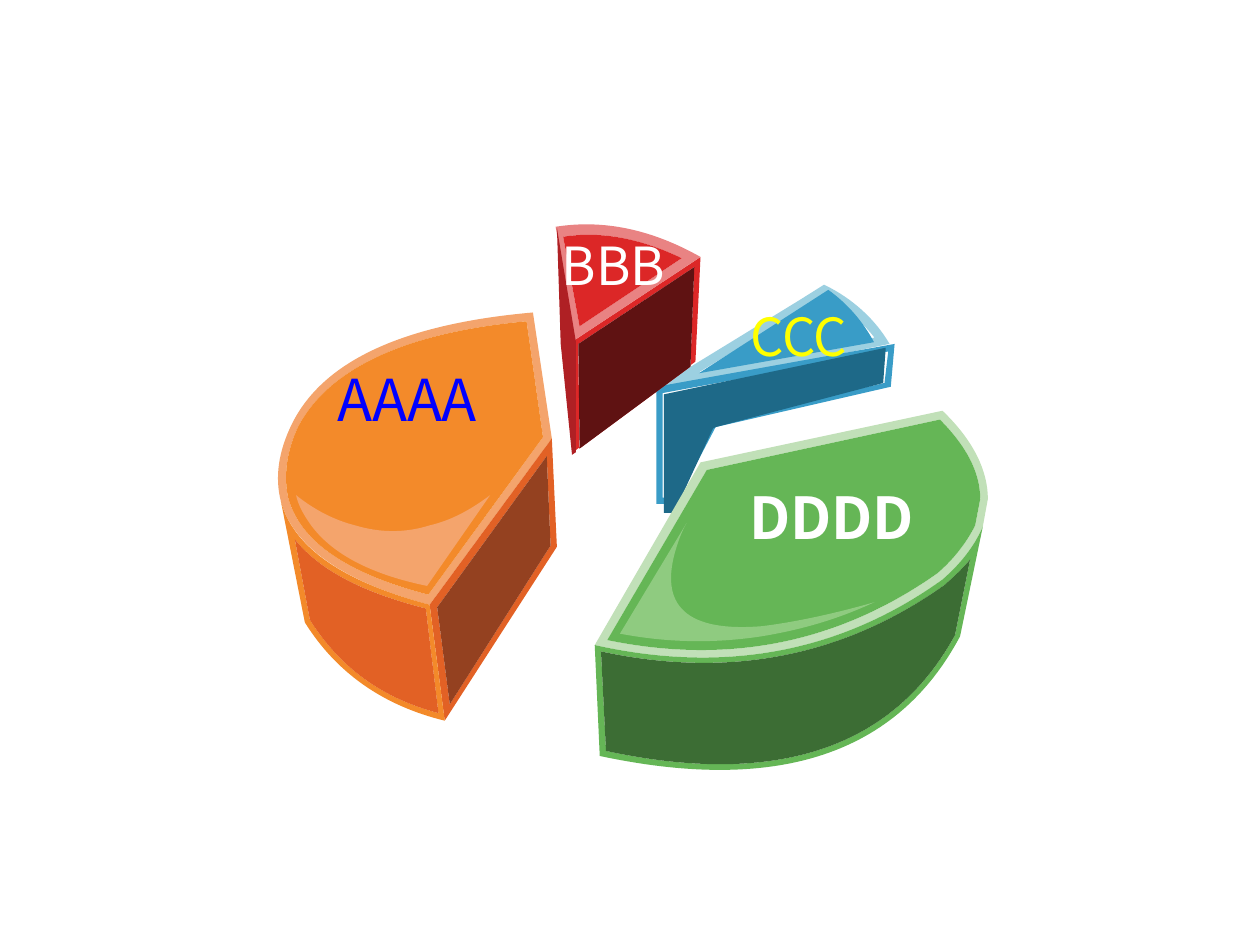
from pptx import Presentation
from pptx.dml.color import RGBColor
from pptx.enum.text import MSO_AUTO_SIZE, PP_ALIGN
from pptx.oxml.ns import qn
from pptx.oxml.xmlchemy import OxmlElement
from pptx.util import Inches, Pt

FONT = "Noto Sans CJK SC"
WHITE = RGBColor(0xFF, 0xFF, 0xFF)
YELLOW = RGBColor(0xFF, 0xFF, 0x00)
LABEL_BLUE = RGBColor(0x00, 0x00, 0xFF)
BLUE_LIGHT = RGBColor(0x9C, 0xD0, 0xE1)
BLUE = RGBColor(0x39, 0x9C, 0xC7)
BLUE_DARK = RGBColor(0x1E, 0x69, 0x88)
GREEN_PALE = RGBColor(0xC1, 0xE0, 0xB8)
GREEN_LIGHT = RGBColor(0x8F, 0xCB, 0x80)
GREEN = RGBColor(0x65, 0xB6, 0x56)
GREEN_DARK = RGBColor(0x3C, 0x6D, 0x34)
RED_LIGHT = RGBColor(0xE9, 0x83, 0x83)
RED = RGBColor(0xDC, 0x27, 0x27)
RED_DEEP = RGBColor(0xAF, 0x20, 0x24)
RED_DARK = RGBColor(0x5F, 0x12, 0x12)
ORANGE_LIGHT = RGBColor(0xF4, 0xA4, 0x6C)
ORANGE = RGBColor(0xF3, 0x8A, 0x2A)
ORANGE_DEEP = RGBColor(0xE2, 0x61, 0x25)
ORANGE_DARK = RGBColor(0x94, 0x41, 0x20)


def list_points(outline):
    """Split corners (x, y) and curves (x1, y1, x2, y2, x, y) into points."""
    return [(Inches(part[i]), Inches(part[i + 1]))
            for part in outline for i in range(0, len(part), 2)]


def bend_curves(shape, outlines):
    """Join the three points of each curve into one Bezier segment."""
    path = shape._element.find(".//" + qn("a:path"))
    lines = iter(path.findall(qn("a:lnTo")))
    for outline in outlines:
        for part in outline[1:]:
            segments = [next(lines) for _ in range(len(part) // 2)]
            if len(segments) == 1:
                continue
            curve = OxmlElement("a:cubicBezTo")
            segments[0].addprevious(curve)
            for segment in segments:
                curve.append(segment[0])
                path.remove(segment)


def draw_piece(slide, box, color, *outlines):
    """Draw one filled outline, with holes for any further outlines."""
    first, *holes = [list_points(outline) for outline in outlines]
    builder = slide.shapes.build_freeform(*first[0], scale=1.0)
    builder.add_line_segments(first[1:], close=True)
    for hole in holes:
        builder.move_to(*hole[0])
        builder.add_line_segments(hole[1:], close=True)
    shape = builder.convert_to_shape(*[Inches(length) for length in box])
    bend_curves(shape, outlines)
    shape.shadow.inherit = False
    shape.fill.solid()
    shape.fill.fore_color.rgb = color
    shape.line.fill.background()
    return shape


def draw_panel(slide, box, rim_color, rim, face_color, face):
    """Draw a face framed by its rim."""
    draw_piece(slide, box, rim_color, rim, face)
    draw_piece(slide, box, face_color, face)


def draw_label(slide, box, text, area, color, size, bold=False, spacing=None):
    left, top, width, height = area
    label = slide.shapes.add_textbox(Inches(box[0] + left), Inches(box[1] + top),
                                     Inches(width), Inches(height))
    frame = label.text_frame
    frame.word_wrap = False
    frame.auto_size = MSO_AUTO_SIZE.SHAPE_TO_FIT_TEXT
    paragraph = frame.paragraphs[0]
    paragraph.alignment = PP_ALIGN.CENTER
    paragraph.line_spacing = spacing
    run = paragraph.add_run()
    run.text = text
    for name, value in {"name": FONT, "size": Pt(size), "bold": bold}.items():
        setattr(run.font, name, value)
    run.font.color.rgb = color


def draw_blue_slice(slide, box):
    # Top
    draw_piece(slide, box, BLUE_LIGHT,
               [(0.12, 1.13), (2.06, 0.73), (1.95, 0.54, 1.77, 0.37, 1.54, 0.26),
                (1.35, 0.38), (0.19, 1.09)],
               [(1.94, 0.68), (0.54, 0.96), (1.54, 0.35),
                (1.71, 0.44, 1.84, 0.55, 1.94, 0.68)])
    top = draw_piece(slide, box, BLUE,
                     [(0.57, 1.01), (1.94, 0.67), (1.84, 0.51, 1.71, 0.38, 1.55, 0.28)])
    top.rotation = 3.9
    # Front side
    draw_piece(slide, box, BLUE,
               [(0.21, 2), (0.36, 2), (0.68, 1.39), (2.07, 1.07), (2.1, 0.73), (0.21, 1.07)],
               [(0.67, 1.35), (0.65, 1.36), (0.64, 1.37), (0.34, 1.95), (0.26, 1.95),
                (0.26, 1.12), (2.05, 0.79), (2.02, 1.04)])
    draw_piece(slide, box, BLUE_DARK,
               [(0.66, 1.4), (0.68, 1.39), (2.01, 1.04), (2.03, 0.76), (0.27, 1.13),
                (0.27, 2.07), (0.35, 2.07), (0.65, 1.42)])


def draw_green_slice(slide, box):
    # Top
    draw_panel(slide, box, GREEN_PALE,
               [(1.56, 0.67), (0.72, 2.12), (1.75, 2.35, 2.67, 2.18, 3.48, 1.6),
                (3.64, 1.46, 3.74, 1.32, 3.8, 1.18), (3.84, 0.96),
                (3.84, 0.74, 3.73, 0.5, 3.48, 0.26)],
               GREEN,
               [(3.74, 1.17), (3.68, 1.29, 3.58, 1.43, 3.44, 1.55),
                (2.66, 2.1, 1.79, 2.28, 0.82, 2.08), (1.61, 0.73), (3.46, 0.33),
                (3.67, 0.54, 3.78, 0.75, 3.78, 0.96)])
    # Curved side
    draw_panel(slide, box, GREEN,
               [(3.8, 1.18), (3.74, 1.32, 3.64, 1.46, 3.48, 1.6),
                (2.67, 2.18, 1.75, 2.35, 0.72, 2.12), (0.76, 3),
                (2.17, 3.3, 3.12, 2.99, 3.62, 2.05)],
               GREEN_DARK,
               [(3.5, 1.64), (2.7, 2.21, 1.79, 2.39, 0.77, 2.17), (0.81, 2.96),
                (2.16, 3.25, 3.09, 2.94, 3.58, 2.04), (3.7, 1.44),
                (3.65, 1.5, 3.58, 1.57, 3.51, 1.63)])
    # Highlight
    draw_piece(slide, box, GREEN_LIGHT,
               [(1.37, 1.34), (1.39, 1.28, 1.41, 1.22, 1.45, 1.15), (0.92, 2.03),
                (1.29, 2.1, 1.66, 2.11, 2.05, 2.05), (2.35, 2, 2.64, 1.92, 2.94, 1.78),
                (2.59, 1.88, 2.29, 1.94, 2.05, 1.97), (1.45, 2.02, 1.22, 1.81, 1.37, 1.34)])


def draw_red_slice(slide, box):
    # Right side
    draw_panel(slide, box, RED,
               [(1.52, 1.87), (1.56, 1.04), (0.56, 1.7), (0.56, 2.58)],
               RED_DARK,
               [(1.51, 1.12), (1.48, 1.91), (0.6, 2.56), (0.59, 1.73)])
    # Top
    draw_panel(slide, box, RED_LIGHT,
               [(0.56, 1.7), (1.56, 1.04), (1.17, 0.82, 0.79, 0.74, 0.41, 0.8)],
               RED,
               [(0.47, 0.88), (0.78, 0.83, 1.1, 0.9, 1.41, 1.05), (0.6, 1.59)])
    # Left side
    draw_piece(slide, box, RED_DEEP,
               [(0.57, 1.71), (0.42, 0.81), (0.45, 1.73), (0.54, 2.61), (0.57, 2.59)])


def draw_orange_slice(slide, box):
    # Top
    draw_panel(slide, box, ORANGE_LIGHT,
               [(0.23, 1.98), (0.33, 2.34, 0.73, 2.62, 1.41, 2.8), (2.38, 1.48),
                (2.23, 0.48), (1.21, 0.57, 0.57, 0.86, 0.32, 1.36),
                (0.21, 1.58, 0.18, 1.79, 0.23, 1.98)],
               ORANGE,
               [(0.29, 1.96), (0.39, 2.3, 0.75, 2.55, 1.4, 2.72), (2.31, 1.47),
                (2.18, 0.55), (1.22, 0.64, 0.62, 0.92, 0.37, 1.38),
                (0.27, 1.59, 0.25, 1.79, 0.29, 1.96)])
    # Cut side
    draw_panel(slide, box, ORANGE_DEEP,
               [(2.38, 1.48), (1.41, 2.8), (1.53, 3.72), (2.42, 2.34)],
               ORANGE_DARK, [(1.47, 2.82), (2.34, 1.62), (2.37, 2.33), (1.57, 3.59)])
    # Curved side
    draw_panel(slide, box, ORANGE,
               [(1.41, 2.8), (0.73, 2.62, 0.33, 2.35, 0.23, 1.98), (0.42, 2.94),
                (0.67, 3.34, 1.04, 3.6, 1.53, 3.72)],
               ORANGE_DEEP,
               [(0.34, 2.28), (0.53, 2.52, 0.87, 2.7, 1.38, 2.83), (1.48, 3.66),
                (1.03, 3.54, 0.7, 3.3, 0.46, 2.92)])
    # Highlight
    draw_piece(slide, box, ORANGE_LIGHT,
               [(0.35, 1.93), (0.37, 2.02, 0.42, 2.1, 0.47, 2.17),
                (0.64, 2.4, 0.95, 2.56, 1.39, 2.65), (1.89, 1.93),
                (1.73, 2.05, 1.58, 2.13, 1.41, 2.17), (1.22, 2.23, 1.02, 2.23, 0.82, 2.17),
                (0.66, 2.13, 0.5, 2.05, 0.35, 1.93)])


def main():
    presentation = Presentation()
    presentation.slide_width, presentation.slide_height = Inches(10), Inches(7.5)
    slide = presentation.slides.add_slide(presentation.slide_layouts[6])
    # Left and top of the box that holds each slice
    blue_box, green_box, red_box, orange_box = (5, 2), (4, 3), (4, 1), (2, 2)
    draw_blue_slice(slide, blue_box)
    draw_green_slice(slide, green_box)
    draw_red_slice(slide, red_box)
    draw_orange_slice(slide, orange_box)
    # Labels lie above all slices
    draw_label(slide, green_box, "DDDD", (1.83, 0.86, 1.54, 0.57), WHITE, 33, True, 0.85)
    draw_label(slide, orange_box, "AAAA", (0.47, 0.92, 1.53, 0.57), LABEL_BLUE, 33, spacing=0.85)
    draw_label(slide, blue_box, "CCC", (0.82, 0.36, 1.04, 0.61), YELLOW, 30)
    draw_label(slide, red_box, "BBB", (0.35, 0.8, 1.04, 0.61), WHITE, 30)
    presentation.save("out.pptx")


if __name__ == "__main__":
    main()
